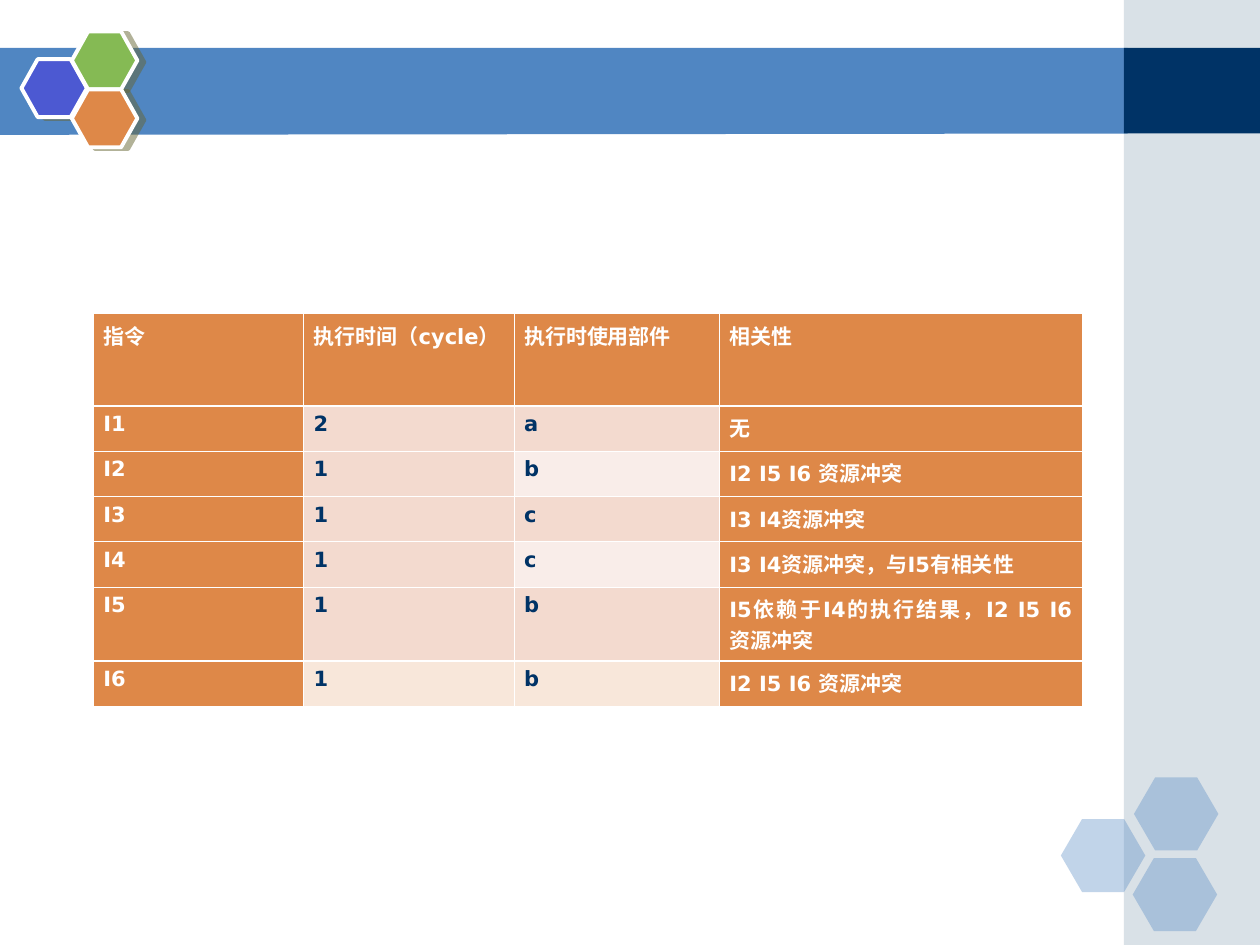
from lxml import etree
from pptx import Presentation
from pptx.dml.color import RGBColor
from pptx.enum.shapes import MSO_SHAPE
from pptx.enum.text import PP_ALIGN
from pptx.oxml.ns import qn
from pptx.util import Inches, Pt

RECTANGLE, HEXAGON = MSO_SHAPE.RECTANGLE, MSO_SHAPE.HEXAGON
JUSTIFY = PP_ALIGN.JUSTIFY
COLORS = {
    "band": "5086C2", "side": "A0B5C4", "navy": "003366", "white": "FFFFFF",
    "violet": "4C59D2", "green": "85BA54", "orange": "DE8848",
    "shadow": "666633", "odd": "F3DACF", "even": "F9EDE9", "last": "F8E7DA",
}


def paint(shape, color, opacity=100):
    """Give a shape a flat fill with no line or shadow."""
    shape.shadow.inherit = False
    shape.line.fill.background()
    shape.fill.solid()
    shape.fill.fore_color.rgb = RGBColor.from_string(COLORS[color])
    if opacity < 100:
        tint = shape.fill._xPr.find(qn("a:solidFill"))[0]
        etree.SubElement(tint, qn("a:alpha"), val=str(opacity * 1000))


def set_border(cell, side, width):
    line = etree.SubElement(cell._tc.get_or_add_tcPr(), qn(f"a:ln{side}"), w=str(Pt(width)))
    fill = etree.SubElement(line, qn("a:solidFill"))
    etree.SubElement(fill, qn("a:srgbClr"), val=COLORS["white"])


prs = Presentation()
prs.slide_width, prs.slide_height = Inches(10), Inches(7.5)
slide = prs.slides.add_slide(prs.slide_layouts[6])
shapes = slide.shapes

# Top band and side panel
outline = shapes.build_freeform(Inches(-0.01), Inches(0.38))
outline.add_line_segments(
    [(Inches(x), Inches(y)) for x, y in ((8.95, 0.38), (8.95, 1.06), (-0.01, 1.07))])
paint(outline.convert_to_shape(), "band")
for top, height, color, opacity in ((0, 7.5, "side", 40), (0.38, 0.68, "navy", 100)):
    panel = shapes.add_shape(RECTANGLE, Inches(8.92), Inches(top), Inches(1.08), Inches(height))
    paint(panel, color, opacity)

# Pale hexagons at the bottom right
for left, top in ((8.42, 6.5), (9, 6.17), (8.99, 6.81)):
    pale_hexagon = shapes.add_shape(HEXAGON, Inches(left), Inches(top), Inches(0.67), Inches(0.58))
    pale_hexagon.adjustments[0] = 0.29
    paint(pale_hexagon, "band", 35)

# Bright hexagons at the top left
for left, top, color in ((0.17, 0.47, "violet"), (0.57, 0.25, "green"), (0.57, 0.71, "orange")):
    hexagon = shapes.add_shape(HEXAGON, Inches(left), Inches(top), Inches(0.52), Inches(0.46))
    hexagon.adjustments[0] = 0.28
    paint(hexagon, color)
    hexagon.line.color.rgb = RGBColor.from_string(COLORS["white"])
    hexagon.line.width = Pt(2.25)
    effects = hexagon._element.spPr.find(qn("a:effectLst"))
    shadow = etree.SubElement(effects, qn("a:outerShdw"), dist=str(Pt(4.1)),
                              dir=str(14 * 60000), algn="ctr", rotWithShape="0")
    shade = etree.SubElement(shadow, qn("a:srgbClr"), val=COLORS["shadow"])
    etree.SubElement(shade, qn("a:alpha"), val="50000")

# Instruction table
rows = [
    ("指令", "执行时间（cycle）", "执行时使用部件", "相关性"),
    ("I1", "2", "a", "无"),
    ("I2", "1", "b", "I2 I5 I6 资源冲突"),
    ("I3", "1", "c", "I3 I4资源冲突"),
    ("I4", "1", "c", "I3 I4资源冲突，与I5有相关性"),
    ("I5", "1", "b", "I5依赖于I4的执行结果，I2 I5 I6 资源冲突"),
    ("I6", "1", "b", "I2 I5 I6 资源冲突"),
]
column_widths = (1.67, 1.67, 1.63, 2.88)
row_heights = (0.73, 0.36, 0.36, 0.36, 0.36, 0.57, 0.36)
last_row = len(rows) - 1
thick_rules = (1, last_row)  # rows with a heavier line above them

instructions = shapes.add_table(len(rows), len(column_widths), Inches(0.74), Inches(2.49),
                                Inches(sum(column_widths)), Inches(sum(row_heights))).table
for column, width in zip(instructions.columns, column_widths):
    column.width = Inches(width)
for row, height in zip(instructions.rows, row_heights):
    row.height = Inches(height)

for r, texts in enumerate(rows):
    for c, text in enumerate(texts):
        cell = instructions.cell(r, c)
        cell.margin_left = cell.margin_right = Inches(0.08)
        cell.margin_top = cell.margin_bottom = Inches(0.05)
        set_border(cell, "L", 0.45)
        set_border(cell, "R", 0.45)
        set_border(cell, "T", 1.47 if r in thick_rules else 0.45)
        set_border(cell, "B", 1.47 if r + 1 in thick_rules else 0.45)

        is_heading = r == 0 or c in (0, 3)
        if is_heading:
            fill = "orange"
        elif r == last_row:
            fill = "last"
        else:
            fill = "even" if c == 2 and r % 2 == 0 else "odd"
        cell.fill.solid()
        cell.fill.fore_color.rgb = RGBColor.from_string(COLORS[fill])

        cell.text = text
        paragraph = cell.text_frame.paragraphs[0]
        paragraph.alignment = JUSTIFY
        paragraph.font.name = "DejaVu Sans"
        paragraph.font.size = Pt(12)
        paragraph.font.bold = True
        paragraph.font.color.rgb = RGBColor.from_string(COLORS["white" if is_heading else "navy"])

prs.save("out.pptx")
